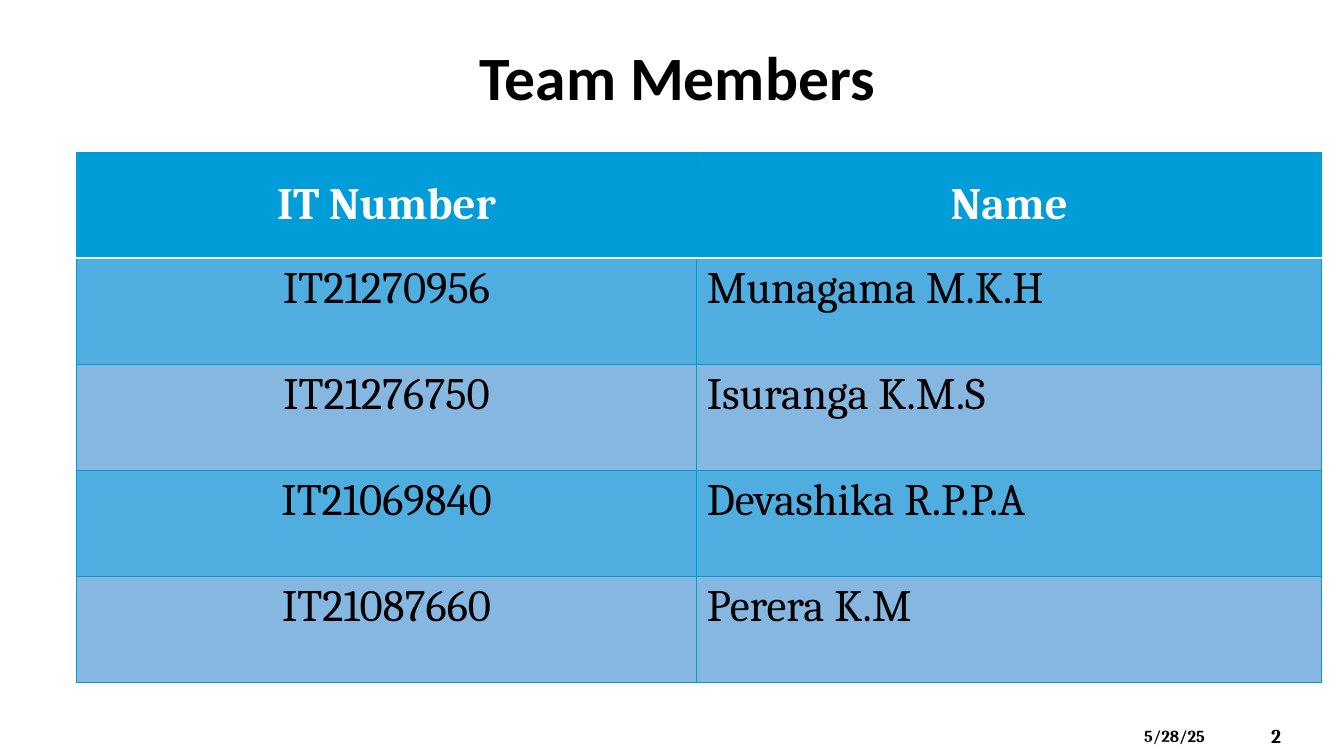
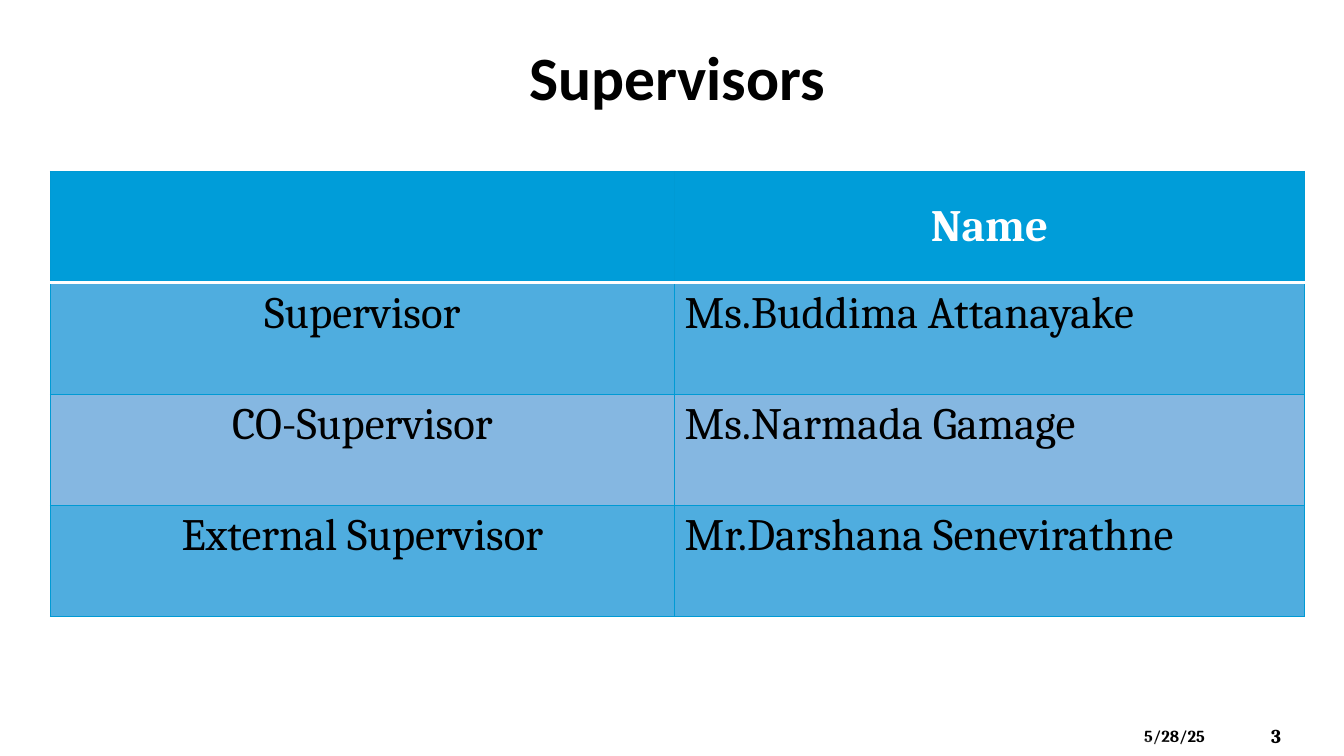
"""Build the team and supervisor table slides."""
from dataclasses import dataclass

from lxml.etree import SubElement
from pptx import Presentation
from pptx.dml.color import RGBColor
from pptx.enum.shapes import MSO_SHAPE
from pptx.enum.text import MSO_ANCHOR, PP_ALIGN
from pptx.oxml.ns import qn
from pptx.util import Inches, Pt


@dataclass(frozen=True)
class Theme:
    """Hold the colours, fonts and type sizes."""
    ink: str = "000000"
    paper: str = "FFFFFF"
    header: str = "009DD9"
    bands: tuple = ("4FADDF", "85B7E1")
    border: str = "009AD4"
    title_font: str = "Calibri"
    body_font: str = "Cambria"
    title_size: int = 44
    table_size: int = 32
    number_size: int = 14
    date_size: int = 12
    border_width: float = 0.75
    rule_width: float = 2
    wedge_opacity: int = 20


THEME = Theme()
SLIDE_WIDTH = 13.33
SLIDE_HEIGHT = 7.5
DATE = "5/28/25"
WEDGES = ((0.41, 0.63), (0.2, 0.39))

TITLE_FORMAT = {"name": THEME.title_font, "size": Pt(THEME.title_size), "bold": True}
DATE_FORMAT = {"name": THEME.body_font, "size": Pt(THEME.date_size), "bold": True}
NUMBER_FORMAT = {**DATE_FORMAT, "size": Pt(THEME.number_size)}
BODY_FORMAT = {"name": THEME.body_font, "size": Pt(THEME.table_size), "bold": False}
HEADER_FORMAT = {**BODY_FORMAT, "bold": True}

SLIDES = [
    {
        "title": "Team Members",
        "number": 2,
        "box": (0.76, 1.51, 12.35, 5.26),
        "columns": (6.15, 6.2),
        "rows": [
            ("IT Number", "Name"),
            ("IT21270956", "Munagama M.K.H"),
            ("IT21276750", "Isuranga K.M.S"),
            ("IT21069840", "Devashika R.P.P.A"),
            ("IT21087660", "Perera K.M"),
        ],
    },
    {
        "title": "Supervisors",
        "number": 3,
        "box": (0.5, 1.7, 12.44, 4.42),
        "columns": (6.19, 6.25),
        "rows": [
            ("", "Name"),
            ("Supervisor", "Ms.Buddima Attanayake"),
            ("CO-Supervisor", "Ms.Narmada Gamage"),
            ("External Supervisor", "Mr.Darshana Senevirathne"),
        ],
    },
]


def write_text(frame, text, font_format, color=THEME.ink, alignment=PP_ALIGN.LEFT):
    """Write one formatted paragraph into a text frame."""
    paragraph = frame.paragraphs[0]
    paragraph.text = text
    paragraph.alignment = alignment
    for name, value in font_format.items():
        setattr(paragraph.font, name, value)
    paragraph.font.color.rgb = RGBColor.from_string(color)


def add_text(slide, box, text, font_format, anchor=MSO_ANCHOR.TOP, alignment=PP_ALIGN.LEFT):
    """Add a wrapped text box."""
    frame = slide.shapes.add_textbox(*map(Inches, box)).text_frame
    frame.word_wrap = True
    frame.vertical_anchor = anchor
    write_text(frame, text, font_format, alignment=alignment)


def add_wedge(slide, height, peak):
    """Add a translucent triangle along the bottom edge."""
    box = (0, SLIDE_HEIGHT - height, SLIDE_WIDTH, height)
    shape = slide.shapes.add_shape(MSO_SHAPE.ISOSCELES_TRIANGLE, *map(Inches, box))
    shape.adjustments[0] = peak
    shape.shadow.inherit = False
    shape.line.fill.background()
    shape.fill.solid()
    shape.fill.fore_color.rgb = RGBColor.from_string(THEME.paper)
    color = shape.fill._xPr.find(qn("a:solidFill")).find(qn("a:srgbClr"))
    SubElement(color, qn("a:alpha"), val=str(THEME.wedge_opacity * 1000))


def add_border(cell, side, color, width):
    """Add a solid border to one side of a cell."""
    properties = cell._tc.get_or_add_tcPr()
    line = SubElement(properties, qn(f"a:ln{side}"), w=str(Pt(width)))
    fill = SubElement(line, qn("a:solidFill"))
    SubElement(fill, qn("a:srgbClr"), val=color)


def format_cell(cell, text, row, column):
    """Give a cell its borders, fill and text by its place in the table."""
    is_header = row == 0
    ruled_side = {0: "B", 1: "T"}.get(row)
    for side in "LRTB":
        if side == ruled_side:
            add_border(cell, side, THEME.paper, THEME.rule_width)
        else:
            add_border(cell, side, THEME.border, THEME.border_width)
    cell.fill.solid()
    color = THEME.header if is_header else THEME.bands[(row - 1) % 2]
    cell.fill.fore_color.rgb = RGBColor.from_string(color)
    cell.vertical_anchor = MSO_ANCHOR.MIDDLE if is_header else MSO_ANCHOR.TOP
    centered = is_header or column == 0
    write_text(
        cell.text_frame,
        text,
        HEADER_FORMAT if is_header else BODY_FORMAT,
        THEME.paper if is_header else THEME.ink,
        PP_ALIGN.CENTER if centered else PP_ALIGN.JUSTIFY,
    )


def add_people_table(slide, box, columns, rows):
    """Add a table with a header row and alternating bands."""
    shape = slide.shapes.add_table(len(rows), len(columns), *map(Inches, box))
    table = shape.table
    table.first_row = False
    table.horz_banding = False
    for column, width in zip(table.columns, columns):
        column.width = Inches(width)
    for row, texts in enumerate(rows):
        for column, text in enumerate(texts):
            format_cell(table.cell(row, column), text, row, column)


def add_footer(slide, number):
    """Add the date, the bottom wedges and the slide number."""
    add_text(slide, (11.25, 7.15, 1.17, 0.3), DATE, DATE_FORMAT)
    for height, peak in WEDGES:
        add_wedge(slide, height, peak)
    add_text(slide, (12.51, 7.1, 0.74, 0.4), str(number), NUMBER_FORMAT, MSO_ANCHOR.MIDDLE)


def add_table_slide(presentation, title, number, box, columns, rows):
    """Add a slide with a title, a table and a footer."""
    slide = presentation.slides.add_slide(presentation.slide_layouts[6])
    add_footer(slide, number)
    add_text(slide, (0.33, 0.34, 12.78, 0.87), title, TITLE_FORMAT, alignment=PP_ALIGN.CENTER)
    add_people_table(slide, box, columns, rows)


def main():
    """Build and save the presentation."""
    presentation = Presentation()
    presentation.slide_width = Inches(SLIDE_WIDTH)
    presentation.slide_height = Inches(SLIDE_HEIGHT)
    for content in SLIDES:
        add_table_slide(presentation, **content)
    presentation.save("out.pptx")


if __name__ == "__main__":
    main()
